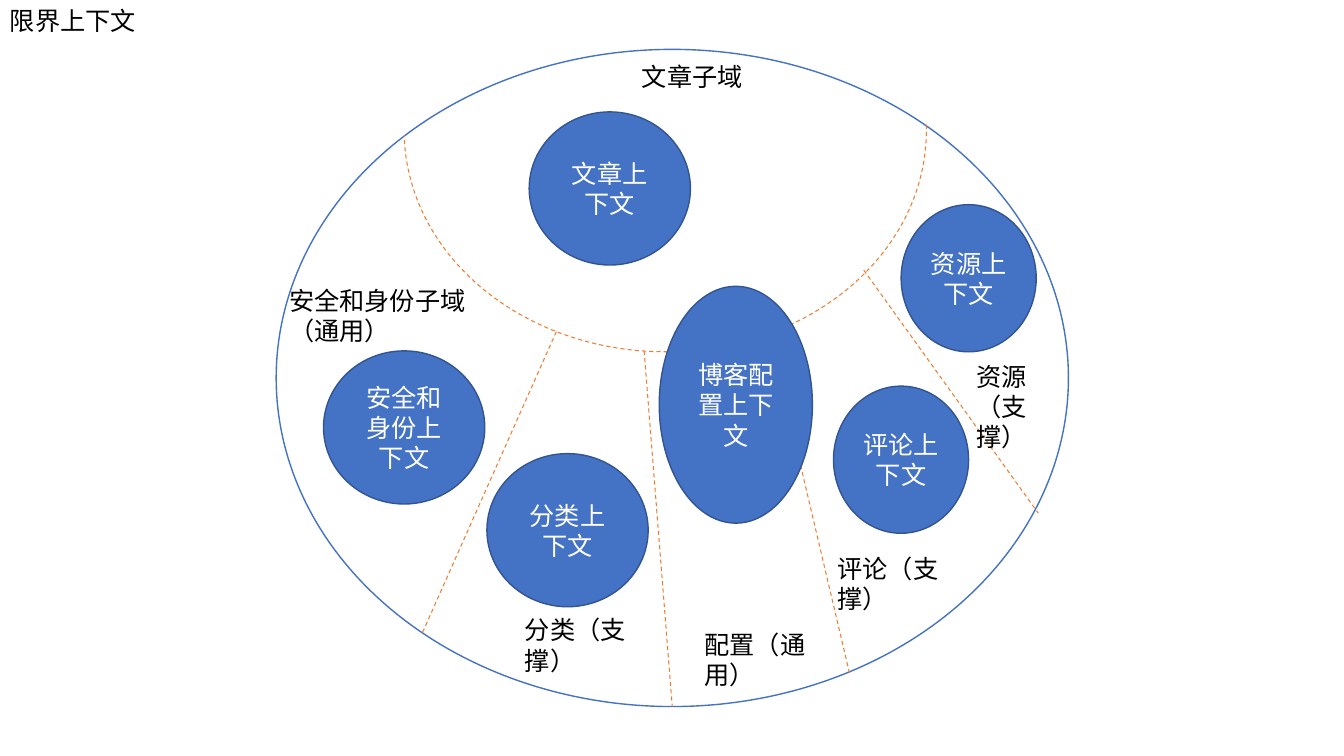
from lxml import etree
from pptx import Presentation
from pptx.dml.color import RGBColor
from pptx.enum.dml import MSO_LINE
from pptx.enum.shapes import MSO_CONNECTOR, MSO_SHAPE
from pptx.enum.text import MSO_ANCHOR, MSO_AUTO_SIZE, PP_ALIGN
from pptx.oxml.ns import qn
from pptx.util import Pt

ELLIPSE, ARC = MSO_SHAPE.OVAL, MSO_SHAPE.ARC
STRAIGHT = MSO_CONNECTOR.STRAIGHT
DASH = MSO_LINE.DASH
MIDDLE = MSO_ANCHOR.MIDDLE
LEFT, CENTER = PP_ALIGN.LEFT, PP_ALIGN.CENTER
GROW = MSO_AUTO_SIZE.SHAPE_TO_FIT_TEXT

WHITE = RGBColor(0xFF, 0xFF, 0xFF)
BLACK = RGBColor(0x00, 0x00, 0x00)
BLUE = RGBColor(0x44, 0x72, 0xC4)
DARK_BLUE = RGBColor(0x32, 0x54, 0x91)
ORANGE = RGBColor(0xED, 0x7D, 0x31)
FONT = "Noto Sans CJK SC"

# text, left, top, width, height
CONTEXTS = [
    ("安全和身份上下文", 231.1, 250.6, 115.2, 109.4),
    ("文章上下文", 378, 79.9, 115.2, 109.4),
    ("分类上下文", 347.8, 324, 115.2, 109.4),
    ("评论上下文", 595.4, 275.8, 96.5, 105.1),
    ("资源上下文", 643.7, 146.2, 96.5, 105.1),
    ("博客配置上下文", 470.9, 204.5, 109.4, 169.2),
]
SUBDOMAINS = [
    ("安全和身份子域（通用）", 199.4, 200.2, 167.8, 51.1),
    ("文章子域", 451.4, 40.3, 167.8, 28.8),
    ("评论（支撑）", 591.1, 391.7, 107.3, 28.8),
    ("分类（支撑）", 367.9, 435.6, 107.3, 28.8),
    ("配置（通用）", 496.1, 445.7, 107.3, 28.8),
    ("资源（支撑）", 690.5, 254.2, 70.6, 51.1),
]
# x1, y1, x2, y2
BORDERS = [
    (397.4, 236.9, 301, 453.6),
    (460.1, 250.6, 480.2, 504.7),
    (549.4, 236.9, 607, 481.7),
    (617, 193, 741.6, 366.5),
]


def write(tf, text, color=BLACK, size=18, align=LEFT):
    p = tf.paragraphs[0]
    p.alignment = align
    r = p.add_run()
    r.text = text
    r.font.name = FONT
    r.font.size = Pt(size)
    r.font.color.rgb = color
    ea = etree.SubElement(r.font._element, qn("a:ea"))
    ea.set("typeface", FONT)


def add_ellipse(s, left, top, width, height, fill, line):
    sp = s.shapes.add_shape(ELLIPSE, Pt(left), Pt(top), Pt(width), Pt(height))
    sp.shadow.inherit = False
    sp.fill.solid()
    sp.fill.fore_color.rgb = fill
    sp.line.color.rgb = line
    sp.line.width = Pt(1)
    return sp


def add_context(s, text, *box):
    tf = add_ellipse(s, *box, fill=BLUE, line=DARK_BLUE).text_frame
    tf.word_wrap = True
    tf.vertical_anchor = MIDDLE
    write(tf, text, color=WHITE, align=CENTER)


def add_label(s, text, left, top, width, height, wrap=True):
    sp = s.shapes.add_textbox(Pt(left), Pt(top), Pt(width), Pt(height))
    tf = sp.text_frame
    tf.word_wrap = wrap
    tf.auto_size = GROW
    write(tf, text)


def dash_line(line):
    line.color.rgb = ORANGE
    line.width = Pt(0.75)
    line.dash_style = DASH


def add_arc(s, left, top, width, height, start, end):
    """Draw a dashed arc clockwise between two angles in degrees."""
    sp = s.shapes.add_shape(ARC, Pt(left), Pt(top), Pt(width), Pt(height))
    sp.shadow.inherit = False
    sp.fill.background()
    # Angles are stored in 60000ths of a degree, adjustments in 100000ths.
    sp.adjustments[0] = start * 0.6
    sp.adjustments[1] = end * 0.6
    dash_line(sp.line)


def add_border(s, x1, y1, x2, y2):
    c = s.shapes.add_connector(STRAIGHT, Pt(x1), Pt(y1), Pt(x2), Pt(y2))
    dash_line(c.line)
    etree.SubElement(c._element.spPr, qn("a:effectLst"))


def main():
    prs = Presentation()
    prs.slide_width, prs.slide_height = Pt(960), Pt(540)
    s = prs.slides.add_slide(prs.slide_layouts[6])

    add_ellipse(s, 197.3, 35.3, 565.9, 469.4, fill=WHITE, line=BLUE)
    add_arc(s, 288.7, -64.8, 373, 316.1, start=358.73, end=178.96)
    for border in BORDERS:
        add_border(s, *border)
    for context in CONTEXTS:
        add_context(s, *context)
    for subdomain in SUBDOMAINS:
        add_label(s, *subdomain)
    add_label(s, "限界上下文", 0, 0, 105.1, 28.8, wrap=False)

    prs.save("out.pptx")


if __name__ == "__main__":
    main()
